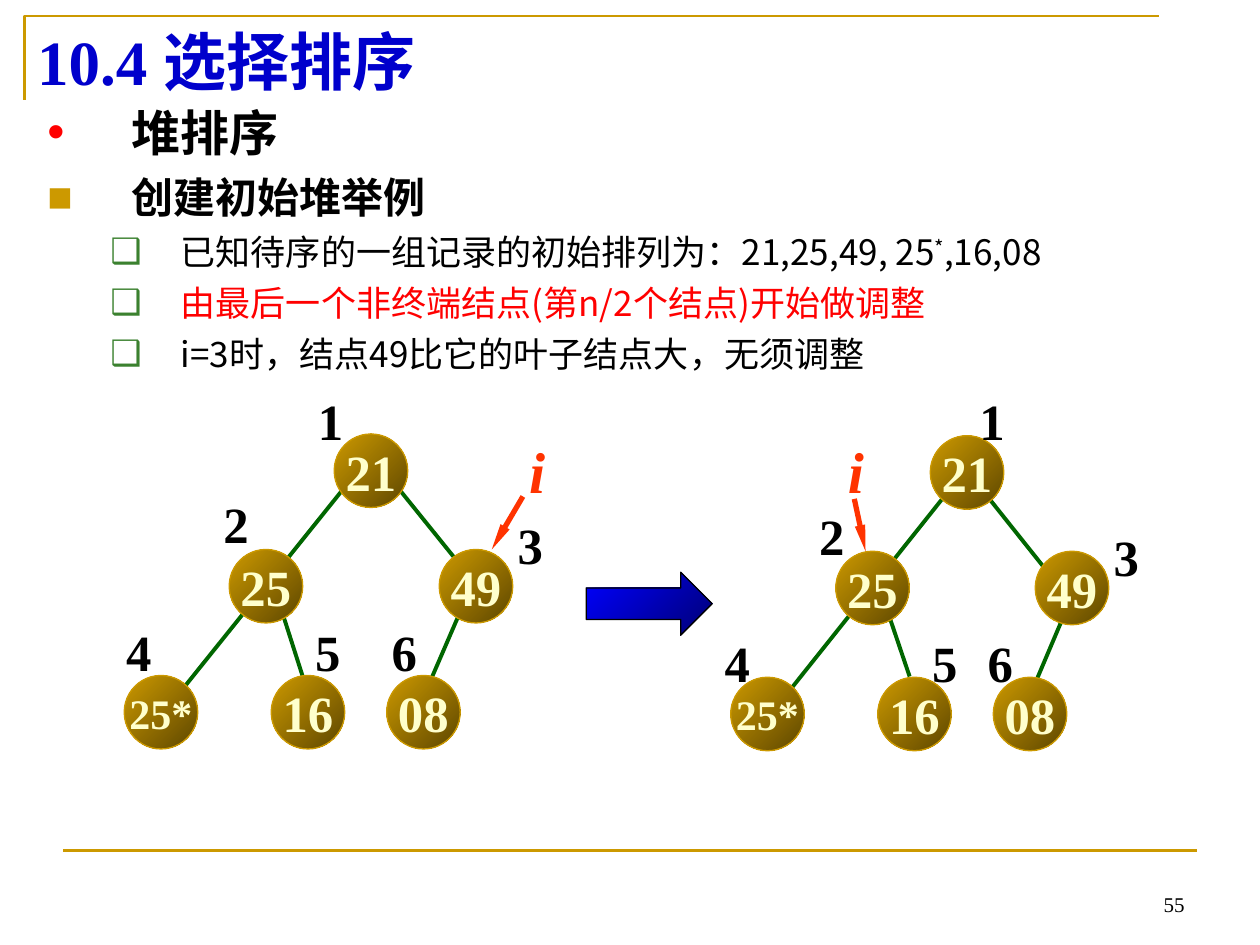
from lxml.etree import SubElement
from pptx import Presentation
from pptx.dml.color import RGBColor
from pptx.enum.shapes import MSO_CONNECTOR, MSO_SHAPE
from pptx.enum.text import MSO_ANCHOR, MSO_AUTO_SIZE, PP_ALIGN
from pptx.oxml.ns import qn
from pptx.util import Pt

GOLD = RGBColor(0xCC, 0x99, 0x00)
BROWN = RGBColor(0x5E, 0x47, 0x00)
CREAM = RGBColor(0xFF, 0xFF, 0xCC)
EDGE_GREEN = RGBColor(0x00, 0x66, 0x00)
BULLET_GREEN = RGBColor(0x3B, 0x81, 0x2F)
TITLE_BLUE = RGBColor(0x00, 0x00, 0xCC)
BLUE = RGBColor(0x00, 0x00, 0xFF)
NAVY = RGBColor(0x00, 0x00, 0x76)
RED = RGBColor(0xFF, 0x00, 0x00)
ORANGE = RGBColor(0xFF, 0x33, 0x00)
BLACK = RGBColor(0x00, 0x00, 0x00)

SERIF = "Times New Roman"
SANS = "Noto Sans CJK SC"
NODE_SIZE = 42

# Nodes: heap index -> (key, node left, node top, index left, index top)
LEFT_TREE = {
    "nodes": {
        1: ("21", 191, 248, 174.5, 219.2),
        2: ("25", 131, 314, 120.5, 278),
        3: ("49", 251, 314, 288.7, 290.2),
        4: ("25*", 71, 386, 65, 351),
        5: ("16", 155, 386, 173, 351),
        6: ("08", 221, 386, 216.7, 351),
    },
    "edges": [(262.8, 350, 244.8, 391.7), (161.3, 350, 172.8, 386),
              (226.8, 278, 275, 337.7), (197.3, 278, 100.8, 398.2)],
    "pointer": (298.8, 283.7, 281, 314),
    "pointer_name": (295.2, 245.5),
}
RIGHT_TREE = {
    "nodes": {
        1: ("21", 531.6, 249, 552.5, 219.2),
        2: ("25", 477.6, 315, 461, 285.1),
        3: ("49", 591.6, 315, 629.3, 297),
        4: ("25*", 417.6, 387, 407, 357.5),
        5: ("16", 501.6, 387, 525.6, 357.5),
        6: ("08", 567.6, 387, 557.3, 357.5),
    },
    "edges": [(608.4, 350.6, 590.4, 393.1), (560.2, 278.6, 608.4, 339.1),
              (507.6, 350.6, 519.8, 386.6), (543.6, 278.6, 447.8, 398.9)],
    "pointer": (488.2, 285.1, 494.6, 315),
    "pointer_name": (477.4, 245.5),
}


def add_run(paragraph, text, font=SERIF, size=29, color=BLACK, bold=True,
            italic=False, baseline=None):
    run = paragraph.add_run()
    run.text = text
    formats = {"name": font, "size": Pt(size), "bold": bold, "italic": italic}
    for name, value in formats.items():
        setattr(run.font, name, value)
    run.font.color.rgb = color
    properties = run.font._element
    SubElement(properties, qn("a:ea")).set("typeface", SANS)
    if baseline:
        properties.set("baseline", str(baseline))


def set_frame(frame, **formats):
    for name, value in formats.items():
        setattr(frame, name, value)


def place(shape, left, top, width, height):
    bounds = {"left": left, "top": top, "width": width, "height": height}
    for name, value in bounds.items():
        setattr(shape, name, Pt(value))


def add_label(shapes, text, left, top, width, height, **font):
    label = shapes.add_textbox(Pt(left), Pt(top), Pt(width), Pt(height))
    set_frame(label.text_frame, word_wrap=False)
    add_run(label.text_frame.paragraphs[0], text, **font)
    return label


def add_line(shapes, ends, color, width, arrow=False):
    line = shapes.add_connector(MSO_CONNECTOR.STRAIGHT, *map(Pt, ends))
    line.line.color.rgb = color
    line.line.width = Pt(width)
    if arrow:
        head = SubElement(line.line._get_or_add_ln(), qn("a:tailEnd"))
        for name, value in {"type": "triangle", "w": "sm", "len": "lg"}.items():
            head.set(name, value)
    SubElement(line._element.spPr, qn("a:effectLst"))


def add_gradient_shape(shapes, kind, bounds, colors, outline):
    """Add a shape shaded from its top left to its bottom right."""
    shape = shapes.add_shape(kind, *map(Pt, bounds))
    shape.shadow.inherit = False
    shape.fill.gradient()
    shape.fill.gradient_angle = 315
    for stop, color in zip(shape.fill.gradient_stops, colors):
        stop.color.rgb = color
    shape.line.color.rgb = outline
    shape.line.width = Pt(0.75)
    return shape


def add_node(shapes, key, left, top):
    node = add_gradient_shape(shapes, MSO_SHAPE.OVAL,
                              (left, top, NODE_SIZE, NODE_SIZE), (GOLD, BROWN), GOLD)
    set_frame(node.text_frame, word_wrap=False, vertical_anchor=MSO_ANCHOR.MIDDLE)
    paragraph = node.text_frame.paragraphs[0]
    paragraph.alignment = PP_ALIGN.CENTER
    add_run(paragraph, key, size=24 if len(key) > 2 else 29, color=CREAM)


def add_tree(slide, tree):
    shapes = slide.shapes.add_group_shape().shapes
    for ends in tree["edges"]:
        add_line(shapes, ends, EDGE_GREEN, 2.25)
    for key, left, top, _, _ in tree["nodes"].values():
        add_node(shapes, key, left, top)
    for index, (_, _, _, left, top) in tree["nodes"].items():
        add_label(shapes, str(index), left, top, 29, 42)
    add_line(shapes, tree["pointer"], ORANGE, 3, arrow=True)
    add_label(shapes, "i", *tree["pointer_name"], 24, 47,
              size=33, color=ORANGE, italic=True)


def add_frame_lines(slide):
    corner = slide.shapes.build_freeform(Pt(14), Pt(57), scale=1.0)
    corner.add_line_segments([(Pt(14), Pt(9.2)), (Pt(662.4), Pt(9.2))], close=False)
    bracket = corner.convert_to_shape()
    bracket.shadow.inherit = False
    bracket.fill.background()
    bracket.line.color.rgb = GOLD
    bracket.line.width = Pt(1.5)
    add_line(slide.shapes, (36, 486, 684, 486), GOLD, 1.5)


def fill_title(title):
    place(title, 14, 9.2, 648, 51)
    set_frame(title.text_frame, vertical_anchor=MSO_ANCHOR.MIDDLE,
              auto_size=MSO_AUTO_SIZE.NONE)
    paragraph = title.text_frame.paragraphs[0]
    paragraph.alignment = PP_ALIGN.LEFT
    add_run(paragraph, "10.4 选择排序", size=36, color=TITLE_BLUE)


def set_bullet(paragraph, char, color, margin, indent):
    properties = paragraph._p.get_or_add_pPr()
    properties.set("marL", str(Pt(margin)))
    properties.set("indent", str(-Pt(indent)))
    bullet_color = SubElement(properties, qn("a:buClr"))
    SubElement(bullet_color, qn("a:srgbClr")).set("val", str(color))
    SubElement(properties, qn("a:buChar")).set("char", char)


def fill_outline(body):
    place(body, 19.8, 54.7, 669, 335)
    set_frame(body.text_frame, auto_size=MSO_AUTO_SIZE.NONE,
              vertical_anchor=MSO_ANCHOR.TOP)
    heading = (0, 48, 48)
    detail = (1, 76.3, 40.3)
    items = [
        (heading, ("•", RED), 0, 28, BLACK, ["堆排序"]),
        (heading, ("■", GOLD), 6, 24, BLACK, ["创建初始堆举例"]),
        (detail, ("❑", BULLET_GREEN), 5, 20, BLACK,
         ["已知待序的一组记录的初始排列为：21,25,49, 25", "*", ",16,08"]),
        (detail, ("❑", BULLET_GREEN), 5, 20, RED,
         ["由最后一个非终端结点(第n/2个结点)开始做调整"]),
        (detail, ("❑", BULLET_GREEN), 5, 20, BLACK,
         ["i=3时，结点49比它的叶子结点大，无须调整"]),
    ]
    frame = body.text_frame
    for row, ((level, margin, indent), bullet, space, size, color, parts) in enumerate(items):
        paragraph = frame.add_paragraph() if row else frame.paragraphs[0]
        paragraph.level = level
        paragraph.line_spacing = 1.0
        paragraph.space_before = Pt(space)
        set_bullet(paragraph, *bullet, margin, indent)
        for part in parts:
            add_run(paragraph, part, font=SANS, size=size, color=color,
                    bold=level == 0, baseline=30000 if part == "*" else None)


def add_page_number(slide):
    number = add_label(slide.shapes, "55", 516, 491.6, 168, 36, size=12, bold=False)
    set_frame(number.text_frame, word_wrap=True, vertical_anchor=MSO_ANCHOR.BOTTOM)
    number.text_frame.paragraphs[0].alignment = PP_ALIGN.RIGHT


def main():
    deck = Presentation()
    deck.slide_width, deck.slide_height = Pt(720), Pt(540)
    slide = deck.slides.add_slide(deck.slide_layouts[1])
    fill_title(slide.shapes.title)
    fill_outline(slide.placeholders[1])
    add_frame_lines(slide)
    add_page_number(slide)
    add_tree(slide, LEFT_TREE)
    add_tree(slide, RIGHT_TREE)
    add_gradient_shape(slide.shapes, MSO_SHAPE.RIGHT_ARROW,
                       (335, 327, 72, 36), (BLUE, NAVY), BLACK)
    deck.save("out.pptx")


if __name__ == "__main__":
    main()
